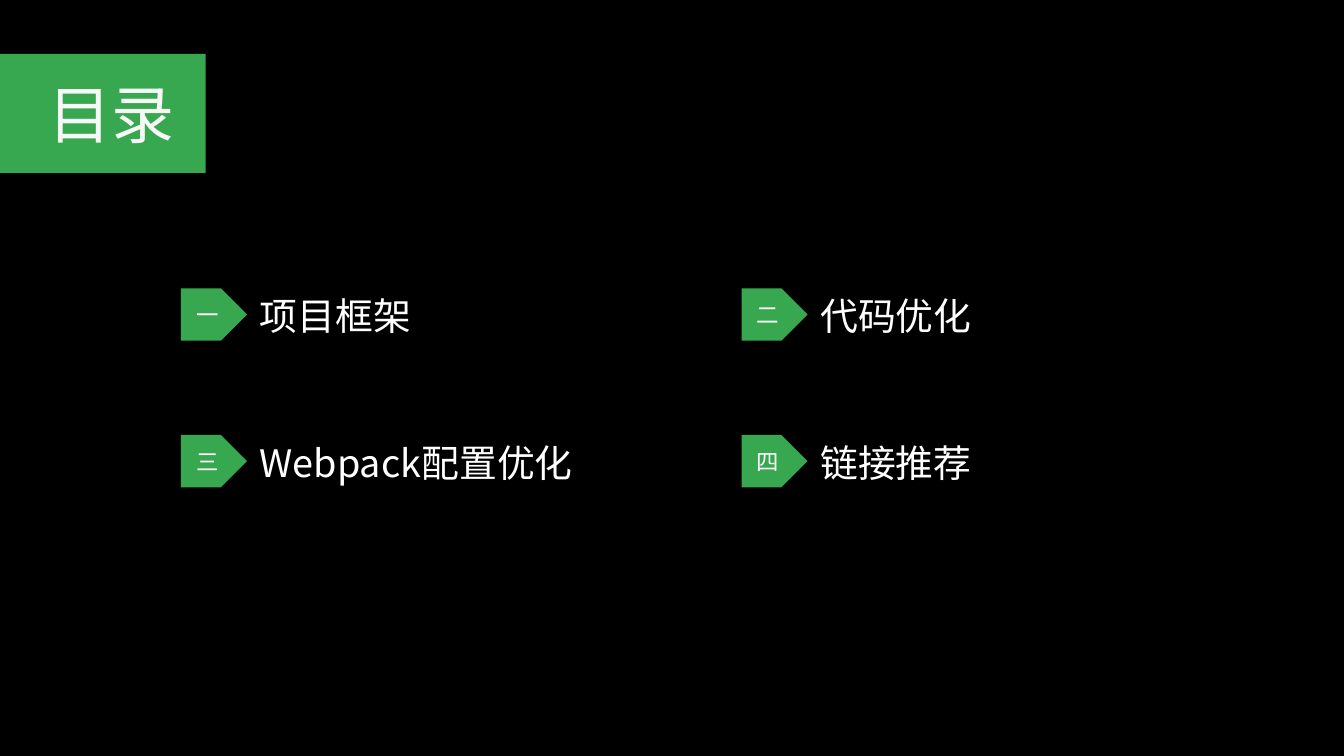
import pptx
import pptx.dml.color
import pptx.enum.shapes
import pptx.enum.text
import pptx.oxml.ns
import pptx.util
import lxml.etree

TITLE = "目录"
ENTRIES = [
    ("一", "项目框架"),
    ("二", "代码优化"),
    ("三", "Webpack配置优化"),
    ("四", "链接推荐"),
]
COLORS = {"background": "000000", "accent": "37A84F", "title": "F7F7F7", "text": "FFFFFF"}
TEXT_FONT, NUMBER_FONT = "Noto Sans CJK SC", "Cabin"
WIDTH, HEIGHT = 26.66, 15
COLUMNS = 2
GRID_LEFT, GRID_TOP = 3.59, 5.72
COLUMN_STEP, ROW_STEP = 11.12, 2.91
MARKER_WIDTH, MARKER_HEIGHT = 1.31, 1.04
LABEL_OFFSET, LABEL_WIDTH = 1.51, 9.05
BANNER = (0, 1.07, 4.08, 2.36)
TITLE_BOX = (0.92, 1.44, WIDTH - 0.92, 1.62)


def color(name):
    return pptx.dml.color.RGBColor.from_string(COLORS[name])


def inches(box):
    return [pptx.util.Inches(length) for length in box]


def write_text(shape, text, *, size, font, fill="text", centered=False, inset=0.05):
    frame = shape.text_frame
    frame.word_wrap = True
    frame.vertical_anchor = pptx.enum.text.MSO_ANCHOR.MIDDLE
    frame.margin_left = frame.margin_right = pptx.util.Inches(inset)
    frame.margin_top = frame.margin_bottom = pptx.util.Inches(inset)
    paragraph = frame.paragraphs[0]
    alignment = pptx.enum.text.PP_ALIGN
    paragraph.alignment = alignment.CENTER if centered else alignment.LEFT
    run = paragraph.add_run()
    run.text = text
    run.font.size = pptx.util.Pt(size)
    run.font.name = font
    run.font.color.rgb = color(fill)
    east_asian = lxml.etree.SubElement(run.font._element, pptx.oxml.ns.qn("a:ea"))
    east_asian.set("typeface", font)


def add_block(slide, kind, box):
    shape = slide.shapes.add_shape(kind, *inches(box))
    shape.shadow.inherit = False
    shape.fill.solid()
    shape.fill.fore_color.rgb = color("accent")
    shape.line.fill.background()
    return shape


def main():
    presentation = pptx.Presentation()
    presentation.slide_width, presentation.slide_height = inches((WIDTH, HEIGHT))
    slide = presentation.slides.add_slide(presentation.slide_layouts[6])
    slide.background.fill.solid()
    slide.background.fill.fore_color.rgb = color("background")

    kinds = pptx.enum.shapes.MSO_SHAPE
    add_block(slide, kinds.RECTANGLE, BANNER)
    title = slide.shapes.add_textbox(*inches(TITLE_BOX))
    write_text(title, TITLE, size=90, font=TEXT_FONT, fill="title")

    for index, (number, label) in enumerate(ENTRIES):
        row, column = divmod(index, COLUMNS)
        left = GRID_LEFT + column * COLUMN_STEP
        top = GRID_TOP + row * ROW_STEP
        marker_box = (left, top, MARKER_WIDTH, MARKER_HEIGHT)
        marker = add_block(slide, kinds.PENTAGON, marker_box)
        write_text(marker, number, size=32, font=NUMBER_FONT, centered=True, inset=0)
        label_box = (left + LABEL_OFFSET, top + 0.03, LABEL_WIDTH, 1.01)
        text_box = slide.shapes.add_textbox(*inches(label_box))
        write_text(text_box, label, size=54, font=TEXT_FONT)

    presentation.save("out.pptx")


if __name__ == "__main__":
    main()
